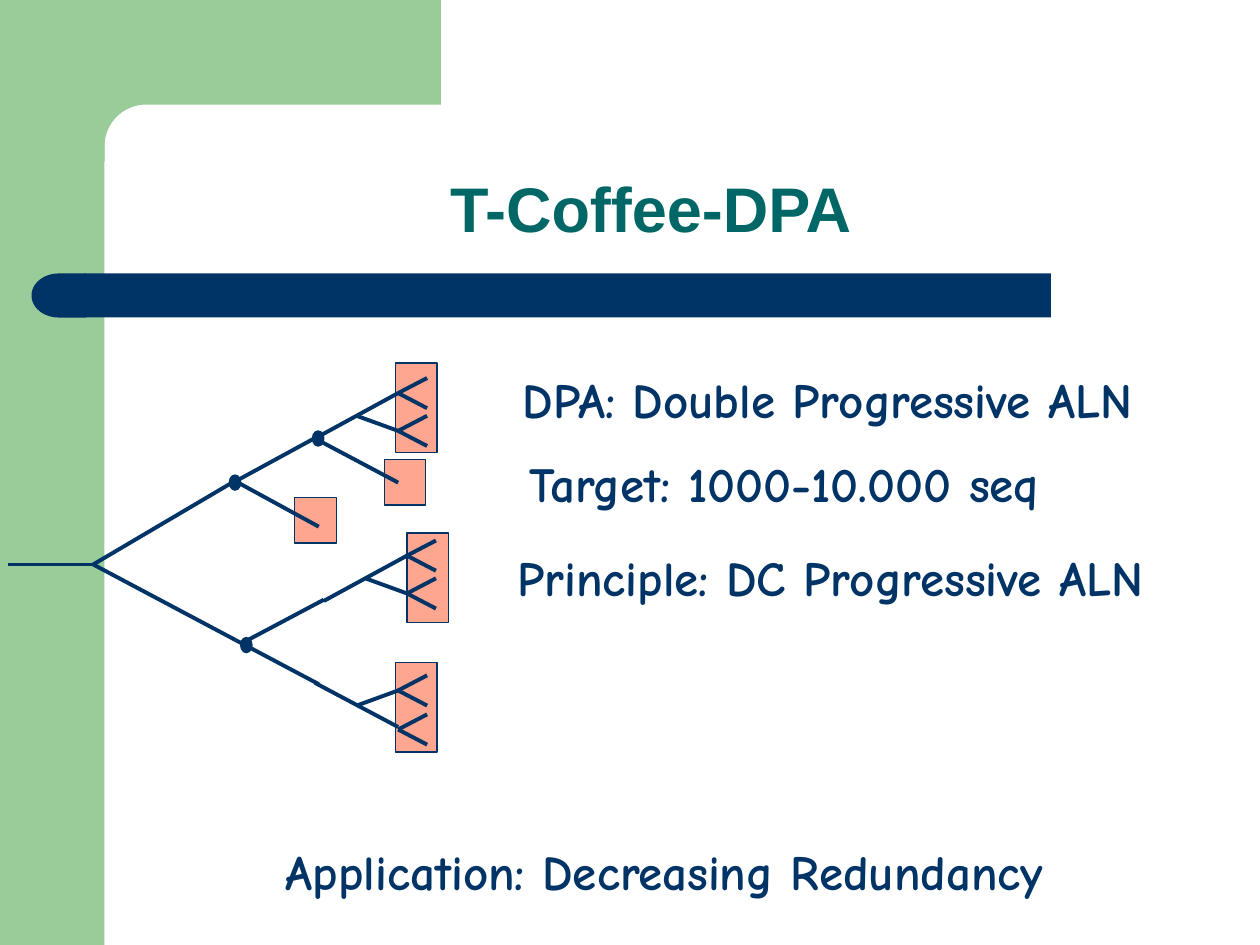
from math import cos, radians, sin
from typing import NamedTuple

from lxml.etree import SubElement
from pptx import Presentation
from pptx.dml.color import RGBColor
from pptx.enum.shapes import MSO_CONNECTOR as Connector, MSO_SHAPE as Preset
from pptx.enum.text import MSO_ANCHOR as Anchor, MSO_AUTO_SIZE as AutoSize, PP_ALIGN as Align
from pptx.oxml.ns import qn
from pptx.util import Inches, Pt

GREEN = RGBColor(0x99, 0xCC, 0x99)
NAVY = RGBColor(0x00, 0x33, 0x66)
TEAL = RGBColor(0x00, 0x66, 0x66)
SALMON = RGBColor(0xFF, 0xA6, 0x91)


class Box(NamedTuple):
    left: float
    top: float
    width: float
    height: float


class Point(NamedTuple):
    x: float
    y: float


class Branch(NamedTuple):
    start: Point
    end: Point


class Statement(NamedTuple):
    wording: str
    box: Box


SIDEBAR = Box(0, 0, 0.83, 7.5)
BAR = Box(0.67, 2.17, 7.67, 0.35)
BAR_CAP = Box(0.25, 2.17, 0.43, 0.35)
TITLE = Box(0.91, 0.91, 8.51, 1.09)

GROUP_WIDTH, PAIR_HEIGHT, SINGLE_HEIGHT = 0.33, 0.71, 0.36
GROUPS = [
    Box(3.23, 4.23, GROUP_WIDTH, PAIR_HEIGHT),
    Box(3.14, 5.26, GROUP_WIDTH, PAIR_HEIGHT),
    Box(3.05, 3.65, GROUP_WIDTH, SINGLE_HEIGHT),
    Box(2.34, 3.95, GROUP_WIDTH, SINGLE_HEIGHT),
    Box(3.14, 2.88, GROUP_WIDTH, PAIR_HEIGHT),
]

TIP_RUN, TIP_RISE = 0.23, 0.12
FORKS = [
    Point(3.16, 3.12), Point(3.16, 3.42),
    Point(3.23, 4.41), Point(3.23, 4.71),
    Point(3.16, 5.48), Point(3.16, 5.79),
]
ROOT = Point(0.74, 4.48)
BRANCHES = [
    Branch(Point(3.16, 3.12), Point(2.5, 3.48)),
    Branch(Point(3.16, 3.42), Point(2.83, 3.3)),
    Branch(Point(3.16, 3.83), Point(2.5, 3.48)),
    Branch(Point(2.53, 3.46), Point(1.87, 3.82)),
    Branch(Point(3.16, 5.77), Point(2.5, 5.42)),
    Branch(Point(3.16, 5.48), Point(2.83, 5.6)),
    Branch(Point(2.53, 5.43), Point(1.87, 5.08)),
    Branch(Point(2.53, 4.18), Point(1.87, 3.82)),
    Branch(Point(3.23, 4.71), Point(2.9, 4.59)),
    Branch(Point(3.23, 4.41), Point(2.57, 4.77)),
    Branch(Point(2.57, 4.76), Point(1.91, 5.11)),
    Branch(Point(1.86, 3.82), ROOT),
    Branch(Point(1.87, 5.08), ROOT),
    Branch(ROOT, Point(0.06, 4.48)),
]
NODES = [Box(x, y, 0.09, 0.12) for x, y in ((2.48, 3.42), (1.82, 3.77), (1.91, 5.06))]

STATEMENTS = [
    Statement("DPA: Double Progressive ALN", Box(4.05, 2.88, 5.21, 0.57)),
    Statement("Target: 1000-10.000 seq", Box(4.1, 3.55, 4.29, 0.57)),
    Statement("Principle: DC Progressive ALN", Box(4.01, 4.3, 5.19, 0.57)),
    Statement("Application: Decreasing Redundancy", Box(2.17, 6.63, 6.22, 0.57)),
]


def paint(shape, fill: RGBColor, outline: RGBColor | None = None) -> None:
    shape.shadow.inherit = False
    shape.fill.solid()
    shape.fill.fore_color.rgb = fill
    if outline is None:
        shape.line.fill.background()
    else:
        shape.line.color.rgb = outline
        shape.line.width = Pt(0.75)


def add_block(slide, preset: Preset, box: Box, fill: RGBColor, outline: RGBColor | None = None):
    block = slide.shapes.add_shape(preset, *map(Inches, box))
    paint(block, fill, outline)
    return block


def add_corner(slide) -> None:
    radius, center = 0.33, 1.16
    arc = [
        (center - radius * sin(radians(angle)), center - radius * cos(radians(angle)))
        for angle in range(0, 91, 5)
    ]
    outline = [(3.5, 0.83), *arc, (0.83, 1.28), (0.5, 1.28), (0.5, 0)]
    builder = slide.shapes.build_freeform(Inches(3.5), 0)
    builder.add_line_segments([(Inches(x), Inches(y)) for x, y in outline], close=True)
    paint(builder.convert_to_shape(), GREEN)


def add_branch(slide, branch: Branch) -> None:
    line = slide.shapes.add_connector(
        Connector.STRAIGHT, *map(Inches, (*branch.start, *branch.end))
    )
    line.line.color.rgb = NAVY
    line.line.width = Pt(2.25)
    SubElement(line._element.spPr, qn("a:effectLst"))


def add_fork(slide, fork: Point) -> None:
    for rise in (-TIP_RISE, TIP_RISE):
        add_branch(slide, Branch(fork, Point(fork.x + TIP_RUN, fork.y + rise)))


def write(paragraph, wording: str, face: str, size: int, color: RGBColor) -> None:
    run = paragraph.add_run()
    run.text = wording
    run.font.name = face
    run.font.size = Pt(size)
    run.font.bold = True
    run.font.color.rgb = color


def add_title(slide, wording: str) -> None:
    title = slide.shapes.title
    title.left, title.top, title.width, title.height = map(Inches, TITLE)
    title.text_frame.vertical_anchor = Anchor.BOTTOM
    heading = title.text_frame.paragraphs[0]
    heading.alignment = Align.CENTER
    heading.line_spacing = 0.9
    write(heading, wording, "Arial", 36, TEAL)


def add_statement(slide, statement: Statement) -> None:
    frame = slide.shapes.add_textbox(*map(Inches, statement.box)).text_frame
    frame.word_wrap = False
    frame.auto_size = AutoSize.SHAPE_TO_FIT_TEXT
    write(frame.paragraphs[0], statement.wording, "Comic Neue", 28, NAVY)


def main() -> None:
    deck = Presentation()
    deck.slide_width, deck.slide_height = Inches(10), Inches(7.5)
    slide = deck.slides.add_slide(deck.slide_layouts[5])

    add_block(slide, Preset.RECTANGLE, SIDEBAR, GREEN)
    add_corner(slide)
    add_block(slide, Preset.RECTANGLE, BAR, NAVY)
    add_block(slide, Preset.FLOWCHART_DELAY, BAR_CAP, NAVY).rotation = 180
    add_title(slide, "T-Coffee-DPA")

    for group in GROUPS:
        add_block(slide, Preset.RECTANGLE, group, SALMON, NAVY)
    for fork in FORKS:
        add_fork(slide, fork)
    for branch in BRANCHES:
        add_branch(slide, branch)
    for node in NODES:
        add_block(slide, Preset.OVAL, node, NAVY, NAVY)
    for statement in STATEMENTS:
        add_statement(slide, statement)

    deck.save("out.pptx")


if __name__ == "__main__":
    main()
